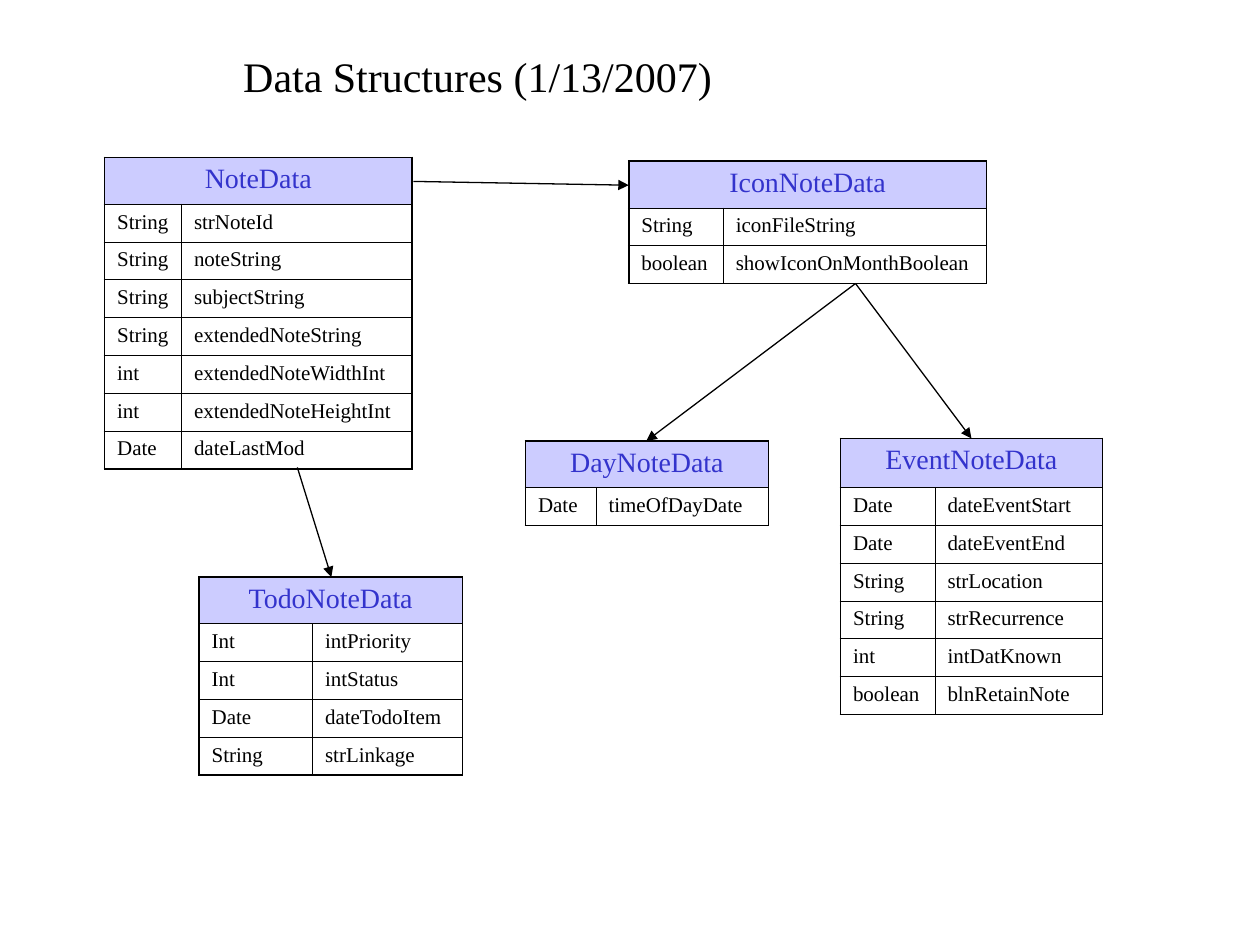
from lxml.etree import SubElement
from pptx import Presentation
from pptx.dml.color import RGBColor
from pptx.enum.shapes import MSO_CONNECTOR
from pptx.enum.text import MSO_ANCHOR, MSO_AUTO_SIZE, PP_ALIGN
from pptx.oxml.ns import qn
from pptx.util import Inches, Pt

FONT = "Times New Roman"
COLORS = {"ink": "000000", "header_text": "3333CC", "header_fill": "CCCCFF"}
OUTER_LINE, INNER_LINE = Pt(1.08), Pt(0.45)
ROW_HEIGHT = 0.3

# name, left, top, column widths, header height, fields
STRUCTURES = [
    ("NoteData", 0.83, 1.25, (0.61, 1.83), 0.37, [
        ("String", "strNoteId"),
        ("String", "noteString"),
        ("String", "subjectString"),
        ("String", "extendedNoteString"),
        ("int", "extendedNoteWidthInt"),
        ("int", "extendedNoteHeightInt"),
        ("Date", "dateLastMod"),
    ]),
    ("DayNoteData", 4.17, 3.5, (0.56, 1.37), 0.37, [
        ("Date", "timeOfDayDate"),
    ]),
    ("TodoNoteData", 1.58, 4.58, (0.9, 1.19), 0.37, [
        ("Int", "intPriority"),
        ("Int", "intStatus"),
        ("Date", "dateTodoItem"),
        ("String", "strLinkage"),
    ]),
    ("EventNoteData", 6.67, 3.48, (0.75, 1.33), 0.39, [
        ("Date", "dateEventStart"),
        ("Date", "dateEventEnd"),
        ("String", "strLocation"),
        ("String", "strRecurrence"),
        ("int", "intDatKnown"),
        ("boolean", "blnRetainNote"),
    ]),
    ("IconNoteData", 4.99, 1.28, (0.75, 2.09), 0.37, [
        ("String", "iconFileString"),
        ("boolean", "showIconOnMonthBoolean"),
    ]),
]

# start and end of each inheritance arrow
ARROWS = [
    ((6.79, 2.25), (5.13, 3.5)),
    ((2.36, 3.71), (2.63, 4.58)),
    ((3.28, 1.44), (4.99, 1.47)),
    ((6.79, 2.25), (7.71, 3.48)),
]


def color(name):
    return RGBColor.from_string(COLORS[name])


def add_span(para, text, size, color_name):
    span = para.add_run()
    span.text = text
    span.font.name = FONT
    span.font.size = Pt(size)
    span.font.color.rgb = color(color_name)


def add_title(page, text):
    box = page.shapes.title
    box.left, box.top = Inches(1.83), Inches(0.35)
    box.width, box.height = Inches(5.75), Inches(0.5)
    frame = box.text_frame
    frame.word_wrap = True
    frame.auto_size = MSO_AUTO_SIZE.NONE
    frame.vertical_anchor = MSO_ANCHOR.BOTTOM
    para = frame.paragraphs[0]
    para.alignment = PP_ALIGN.LEFT
    add_span(para, text, 24, "ink")


def set_borders(cell, widths):
    properties = cell._tc.get_or_add_tcPr()
    for side, width in widths.items():
        line = SubElement(properties, qn(f"a:ln{side}"), w=str(int(width)))
        fill = SubElement(line, qn("a:solidFill"))
        SubElement(fill, qn("a:srgbClr"), val=COLORS["ink"])


def add_structure(page, name, left, top, widths, header_height, fields):
    row_count = len(fields) + 1
    height = header_height + ROW_HEIGHT * len(fields)
    table = page.shapes.add_table(
        row_count, 2, Inches(left), Inches(top),
        Inches(sum(widths)), Inches(height)).table
    table.first_row = table.horz_banding = False
    for column, width in zip(table.columns, widths):
        column.width = Inches(width)
    for index, row in enumerate(table.rows):
        row.height = Inches(ROW_HEIGHT if index else header_height)

    # Heavy frame around the table, thin lines within
    for r in range(row_count):
        for c in range(2):
            cell = table.cell(r, c)
            on_edge = {"L": c == 0, "R": c == 1 or r == 0,
                       "T": r == 0, "B": r == row_count - 1}
            set_borders(cell, {side: OUTER_LINE if edge else INNER_LINE
                               for side, edge in on_edge.items()})
            cell.fill.background()

    # Header across both columns
    header = table.cell(0, 0)
    header.merge(table.cell(0, 1))
    header.fill.solid()
    header.fill.fore_color.rgb = color("header_fill")
    para = header.text_frame.paragraphs[0]
    para.alignment = PP_ALIGN.CENTER
    add_span(para, name, 16, "header_text")

    # Type and name of each field
    for r, field in enumerate(fields, start=1):
        for c, text in enumerate(field):
            add_span(table.cell(r, c).text_frame.paragraphs[0], text, 12, "ink")


def add_arrow(page, start, end):
    arrow = page.shapes.add_connector(
        MSO_CONNECTOR.STRAIGHT, *(Inches(value) for value in start + end))
    arrow.line.color.rgb = color("ink")
    arrow.line.width = Pt(0.75)
    SubElement(arrow.line._get_or_add_ln(), qn("a:tailEnd"), type="triangle")
    SubElement(arrow._element.spPr, qn("a:effectLst"))


def main():
    deck = Presentation()
    deck.slide_width, deck.slide_height = Inches(10), Inches(7.5)
    page = deck.slides.add_slide(deck.slide_layouts[5])
    add_title(page, "Data Structures (1/13/2007)")
    for structure in STRUCTURES:
        add_structure(page, *structure)
    for start, end in ARROWS:
        add_arrow(page, start, end)
    deck.save("out.pptx")


if __name__ == "__main__":
    main()
